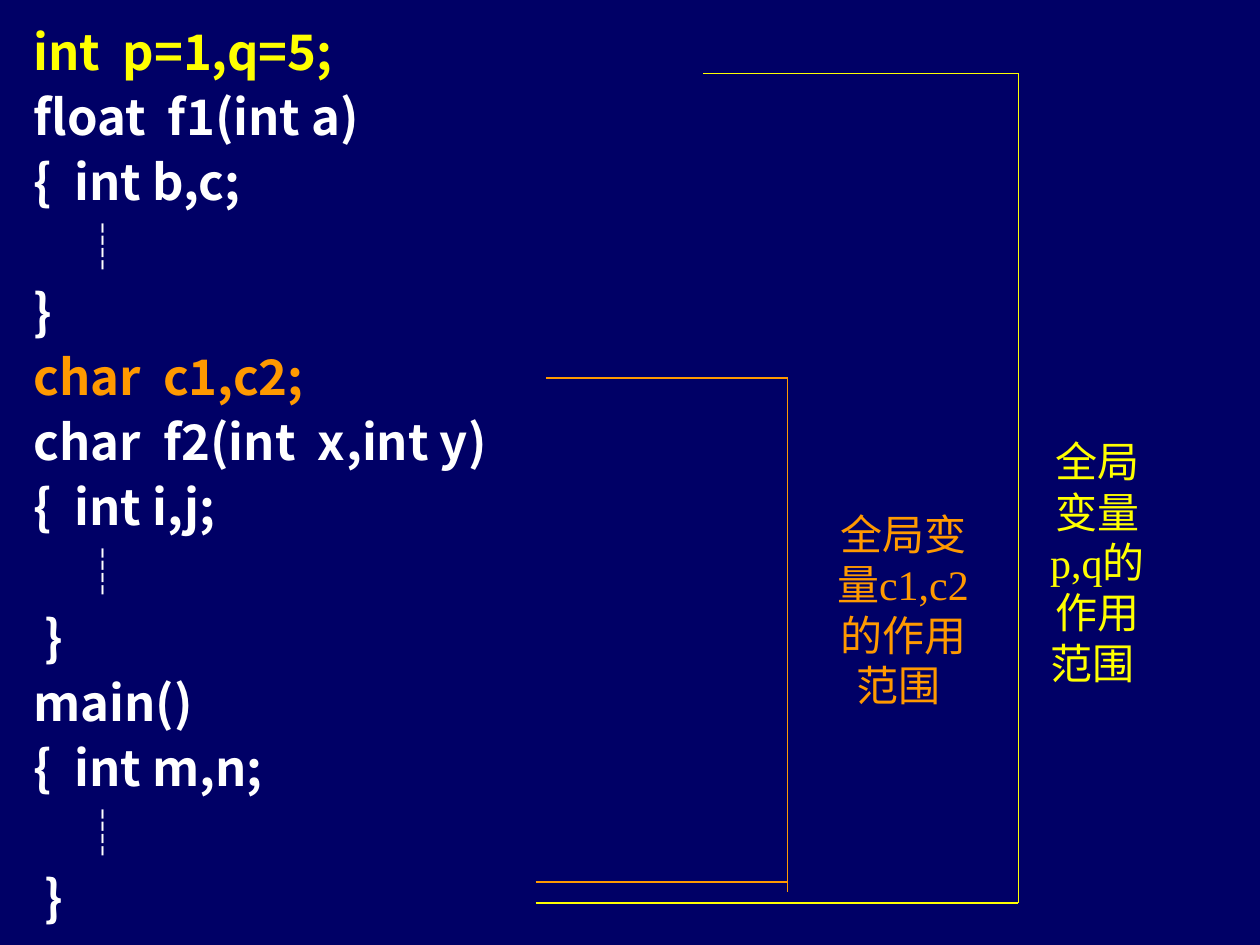
from lxml import etree
from pptx import Presentation
from pptx.dml.color import RGBColor
from pptx.enum import shapes, text
from pptx.oxml import ns
from pptx.util import Pt

COLORS = {"navy": "000066", "yellow": "FFFF00", "orange": "FF9900", "white": "FFFFFF"}
SANS, SERIF = "Noto Sans CJK SC", "Times New Roman"

CODE = [
    ("int  p=1,q=5;", "yellow"),
    ("float  f1(int a)", "white"),
    ("{  int b,c;", "white"),
    ("    ┊", "white"),
    ("}", "white"),
    ("char  c1,c2;", "orange"),
    ("char  f2(int  x,int y)", "white"),
    ("{  int i,j;", "white"),
    ("    ┊", "white"),
    (" }", "white"),
    ("main()", "white"),
    ("{  int m,n;", "white"),
    ("    ┊", "white"),
    (" }", "white"),
]
SCOPES = [
    {"color": "orange", "top": (312, 216), "bottom": (306, 504), "right": 450, "tail": 510,
     "box": (474, 270, 84, 156),
     "lines": [[("全局变", SANS)], [("量", SANS), ("c1,c2", SERIF)],
               [("的作用", SANS)], [("范围 ", SANS)]]},
    {"color": "yellow", "top": (402, 42), "bottom": (306, 516), "right": 582, "tail": 516,
     "box": (600, 216, 54, 210),
     "lines": [[("全局", SANS)], [("变量", SANS)], [("p,q", SERIF), ("的", SANS)],
               [("作用", SANS)], [("范围 ", SANS)]]},
]


def rgb(color):
    return RGBColor.from_string(COLORS[color])


def add_run(paragraph, words, size, font, color, bold=False):
    run = paragraph.add_run()
    run.text = words
    run.font.size, run.font.name, run.font.bold = Pt(size), font, bold
    run.font.color.rgb = rgb(color)
    etree.SubElement(run.font._element, ns.qn("a:ea"), typeface=font)


def next_paragraph(frame, index):
    return frame.add_paragraph() if index else frame.paragraphs[0]


def add_code(slide):
    slide.shapes.title.element.getparent().remove(slide.shapes.title.element)
    code = slide.placeholders[1]
    code.left, code.top, code.width, code.height = map(Pt, (12, 12, 702, 522))
    code.line.color.rgb = rgb("navy")
    code.line.width = Pt(0.75)
    frame = code.text_frame
    frame.auto_size = text.MSO_AUTO_SIZE.NONE
    for index, (words, color) in enumerate(CODE):
        paragraph = next_paragraph(frame, index)
        paragraph.alignment = text.PP_ALIGN.LEFT
        paragraph.line_spacing, paragraph.space_before = Pt(30.2), Pt(7)
        properties = paragraph._p.get_or_add_pPr()
        properties.set("marL", str(Pt(27)))
        properties.set("indent", str(-Pt(27)))
        etree.SubElement(properties, ns.qn("a:buNone"))
        add_run(paragraph, words, 28, SANS, color, bold=True)


def add_line(slide, start, end, color):
    line = slide.shapes.add_connector(
        shapes.MSO_CONNECTOR.STRAIGHT, *map(Pt, (*start, *end)))
    line.line.color.rgb = rgb(color)
    line.line.width = Pt(0.75)
    etree.SubElement(line._element.spPr, ns.qn("a:effectLst"))


def add_bracket(slide, scope):
    right, color = scope["right"], scope["color"]
    top, bottom = scope["top"], scope["bottom"]
    add_line(slide, top, (right, top[1]), color)
    add_line(slide, (right, top[1]), (right, scope["tail"]), color)
    add_line(slide, bottom, (right, bottom[1]), color)


def add_label(slide, scope):
    label = slide.shapes.add_shape(shapes.MSO_SHAPE.RECTANGLE, *map(Pt, scope["box"]))
    label.shadow.inherit = False
    label.fill.solid()
    label.fill.fore_color.rgb = label.line.color.rgb = rgb("navy")
    label.line.width = Pt(0.75)
    frame = label.text_frame
    frame.word_wrap = False
    frame.vertical_anchor = text.MSO_ANCHOR.MIDDLE
    for index, pieces in enumerate(scope["lines"]):
        paragraph = next_paragraph(frame, index)
        paragraph.alignment = text.PP_ALIGN.CENTER
        paragraph.line_spacing = Pt(28.8)
        for words, font in pieces:
            add_run(paragraph, words, 24, font, scope["color"])


def main():
    """Build the slide on the scope of global variables."""
    deck = Presentation()
    deck.slide_width, deck.slide_height = Pt(720), Pt(540)
    slide = deck.slides.add_slide(deck.slide_layouts[1])
    slide.background.fill.solid()
    slide.background.fill.fore_color.rgb = rgb("navy")
    add_code(slide)
    for scope in SCOPES:
        add_bracket(slide, scope)
    for scope in SCOPES:
        add_label(slide, scope)
    deck.save("out.pptx")


if __name__ == "__main__":
    main()
